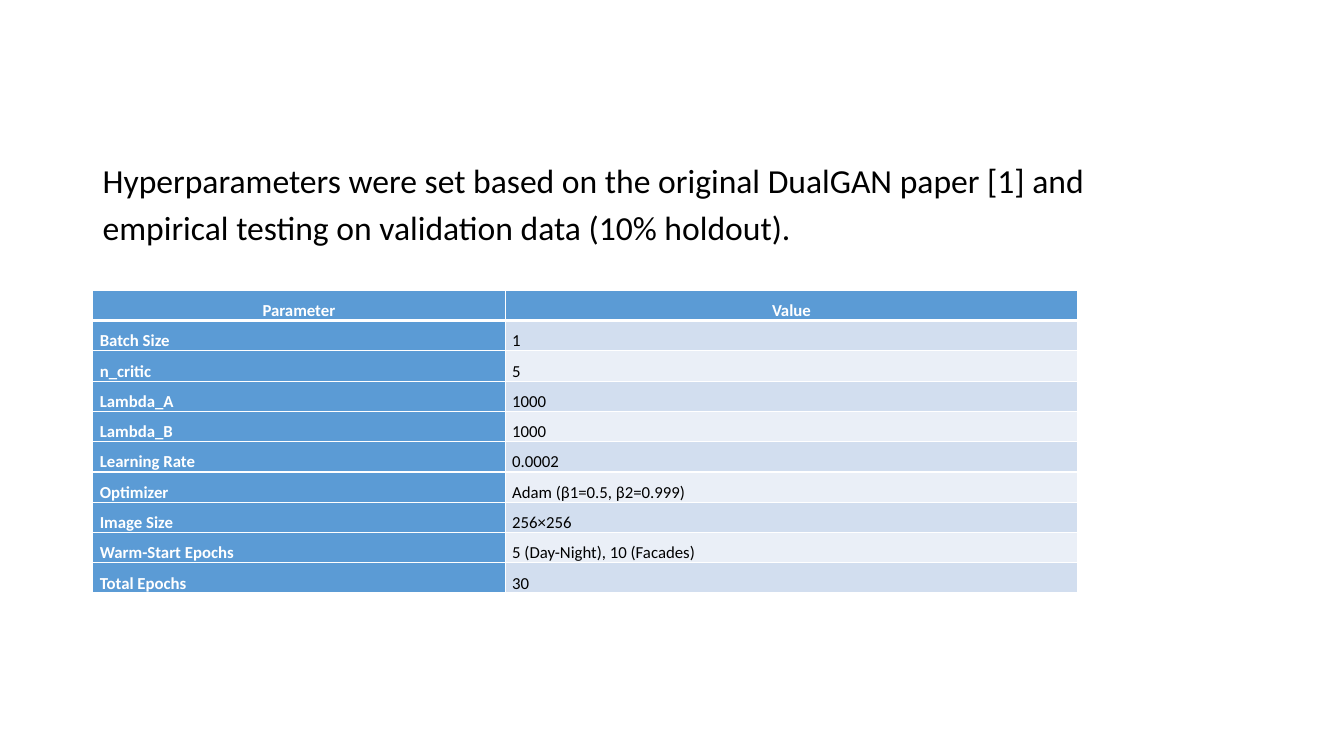
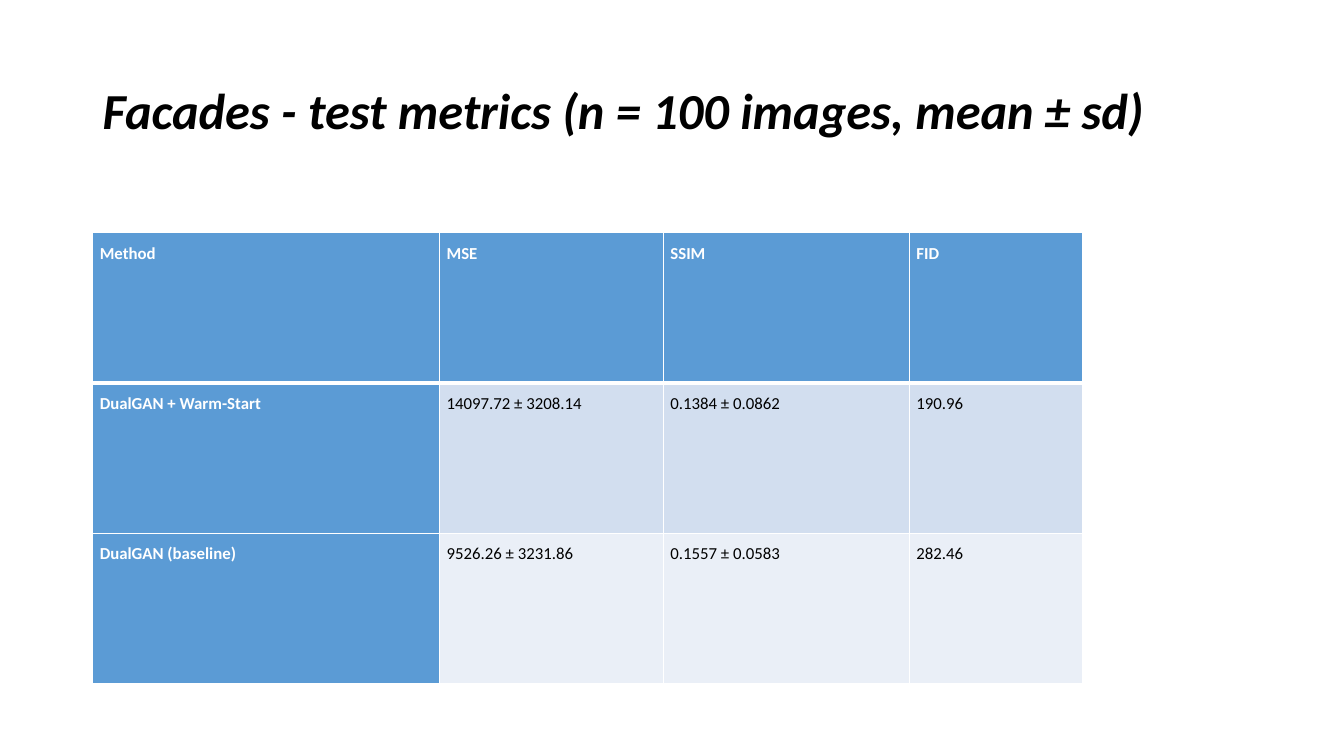
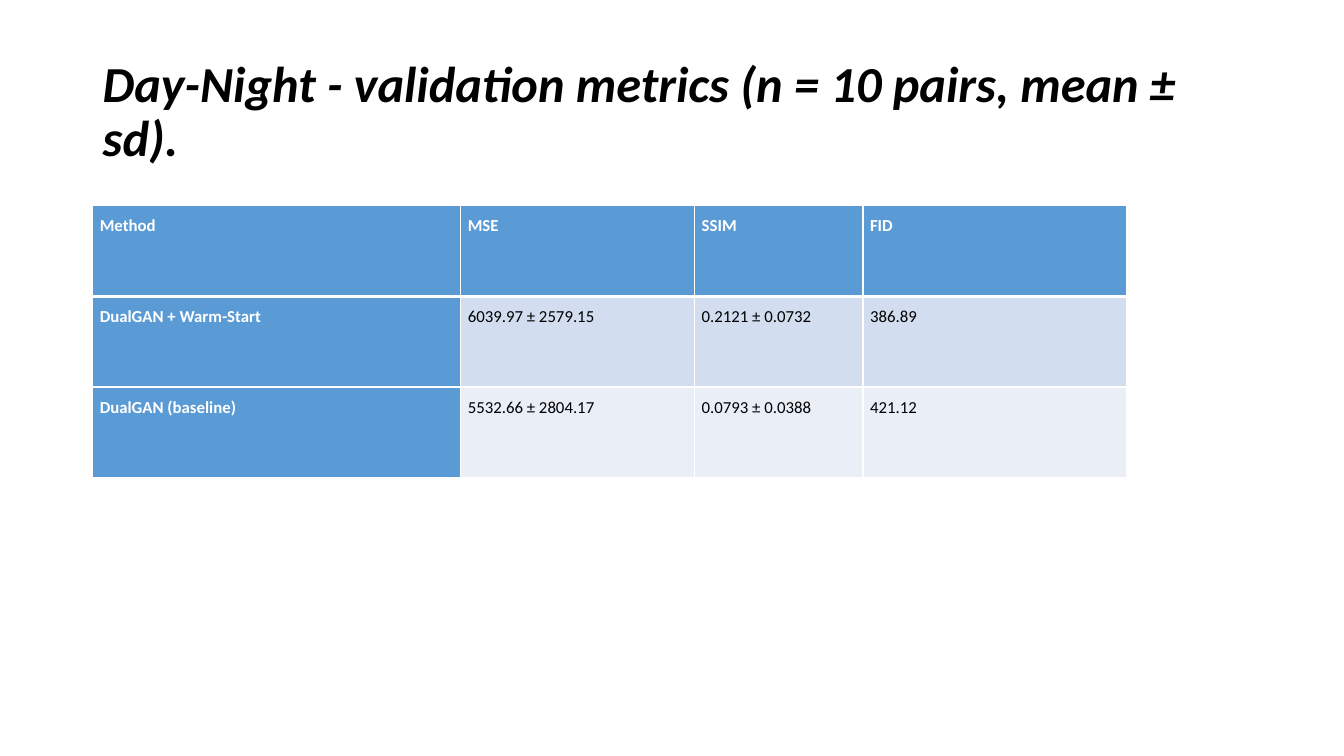
from dataclasses import dataclass
from typing import Any

from lxml import etree
from pptx import Presentation
from pptx.dml.color import RGBColor
from pptx.enum import text
from pptx.oxml import ns
from pptx.slide import Slide
from pptx.util import Inches, Pt

FONT = "Calibri"
BLACK = RGBColor(0x00, 0x00, 0x00)
WHITE = RGBColor(0xFF, 0xFF, 0xFF)
BLUE = RGBColor(0x5B, 0x9B, 0xD5)
BANDS = (RGBColor(0xD2, 0xDE, 0xEF), RGBColor(0xEA, 0xEF, 0xF7))
LEFT = Inches(0.92)
CELL_MARGINS = {
    "margin_left": Inches(0.07),
    "margin_right": Inches(0.07),
    "margin_top": 0,
    "margin_bottom": 0,
}


@dataclass(frozen=True)
class TextStyle:
    size: float
    line_spacing: float
    color: RGBColor = BLACK
    bold: bool = False
    italic: bool = False
    space_after: float = 0
    alignment: text.PP_ALIGN = text.PP_ALIGN.LEFT


@dataclass(frozen=True)
class Heading:
    wording: str
    top: float
    width: float
    height: float
    style: TextStyle
    anchor: text.MSO_ANCHOR
    auto_size: text.MSO_AUTO_SIZE


@dataclass(frozen=True)
class Grid:
    top: float
    column_widths: tuple[float, ...]
    row_height: float
    rows: tuple[tuple[str, ...], ...]
    header_alignment: text.PP_ALIGN = text.PP_ALIGN.LEFT


TITLE_STYLE = TextStyle(36, 0.9, bold=True, italic=True)
INTRO_STYLE = TextStyle(24, 1.15, space_after=8)
METRIC_COLUMNS = ("Method", "MSE", "SSIM", "FID")


def title(wording: str) -> Heading:
    return Heading(wording, 0.4, 11.5, 1.45, TITLE_STYLE,
                   text.MSO_ANCHOR.MIDDLE, text.MSO_AUTO_SIZE.NONE)


SLIDES = (
    (
        Heading(
            "Hyperparameters were set based on the original DualGAN paper [1] "
            "and empirical testing on validation data (10% holdout).",
            1.48, 10.64, 1.57, INTRO_STYLE,
            text.MSO_ANCHOR.TOP, text.MSO_AUTO_SIZE.SHAPE_TO_FIT_TEXT,
        ),
        Grid(2.88, (4.09, 5.68), 0.3, (
            ("Parameter", "Value"),
            ("Batch Size", "1"),
            ("n_critic", "5"),
            ("Lambda_A", "1000"),
            ("Lambda_B", "1000"),
            ("Learning Rate", "0.0002"),
            ("Optimizer", "Adam (β1=0.5, β2=0.999)"),
            ("Image Size", "256×256"),
            ("Warm-Start Epochs", "5 (Day-Night), 10 (Facades)"),
            ("Total Epochs", "30"),
        ), text.PP_ALIGN.CENTER),
    ),
    (
        title("Facades - test metrics (n = 100 images, mean ± sd)"),
        Grid(2.31, (3.44, 2.22, 2.44, 1.72), 1.49, (
            METRIC_COLUMNS,
            ("DualGAN + Warm-Start", "14097.72 ± 3208.14", "0.1384 ± 0.0862", "190.96"),
            ("DualGAN (baseline)", "9526.26 ± 3231.86", "0.1557 ± 0.0583", "282.46"),
        )),
    ),
    (
        title("Day-Night - validation metrics (n = 10 pairs, mean ± sd)."),
        Grid(2.04, (3.65, 2.32, 1.67, 2.61), 0.9, (
            METRIC_COLUMNS,
            ("DualGAN + Warm-Start", "6039.97 ± 2579.15", "0.2121 ± 0.0732", "386.89"),
            ("DualGAN (baseline)", "5532.66 ± 2804.17", "0.0793 ± 0.0388", "421.12"),
        )),
    ),
)


def set_attributes(target: Any, values: dict[str, Any]) -> None:
    for attribute, value in values.items():
        setattr(target, attribute, value)


def write(frame: Any, wording: str, style: TextStyle) -> None:
    paragraph = frame.paragraphs[0]
    set_attributes(paragraph, {
        "alignment": style.alignment,
        "line_spacing": style.line_spacing,
        "space_after": Pt(style.space_after),
    })
    run = paragraph.add_run()
    run.text = wording
    set_attributes(run.font, {
        "name": FONT,
        "size": Pt(style.size),
        "bold": style.bold,
        "italic": style.italic,
    })
    run.font.color.rgb = style.color


def add_heading(slide: Slide, heading: Heading) -> None:
    box = slide.shapes.add_textbox(LEFT, Inches(heading.top),
                                   Inches(heading.width), Inches(heading.height))
    set_attributes(box.text_frame, {
        "word_wrap": True,
        "auto_size": heading.auto_size,
        "vertical_anchor": heading.anchor,
    })
    write(box.text_frame, heading.wording, heading.style)


def add_borders(cell: Any, row: int) -> None:
    """White rules, heavier between the header and the first body row."""
    properties = cell._tc.get_or_add_tcPr()
    for side in ("lnL", "lnR", "lnT", "lnB"):
        heavy = (side, row) in (("lnB", 0), ("lnT", 1))
        line = etree.SubElement(properties, ns.qn(f"a:{side}"), w=str(Pt(3 if heavy else 1)))
        fill = etree.SubElement(line, ns.qn("a:solidFill"))
        etree.SubElement(fill, ns.qn("a:srgbClr"), val=str(WHITE))


def add_grid(slide: Slide, grid: Grid) -> None:
    table = slide.shapes.add_table(
        len(grid.rows), len(grid.column_widths), LEFT, Inches(grid.top),
        Inches(sum(grid.column_widths)), Inches(grid.row_height * len(grid.rows)),
    ).table
    set_attributes(table, {"first_row": True, "first_col": True, "horz_banding": False})
    for column, width in zip(table.columns, grid.column_widths):
        column.width = Inches(width)
    for row, values in enumerate(grid.rows):
        table.rows[row].height = Inches(grid.row_height)
        for column, value in enumerate(values):
            cell = table.cell(row, column)
            is_label = row == 0 or column == 0
            add_borders(cell, row)
            cell.fill.solid()
            cell.fill.fore_color.rgb = BLUE if is_label else BANDS[(row - 1) % 2]
            set_attributes(cell, CELL_MARGINS)
            write(cell.text_frame, value, TextStyle(
                12, 1.5, WHITE if is_label else BLACK, bold=is_label, space_after=6,
                alignment=grid.header_alignment if row == 0 else text.PP_ALIGN.LEFT,
            ))


def main() -> None:
    deck = Presentation()
    deck.slide_width, deck.slide_height = Inches(13.33), Inches(7.5)
    blank = deck.slide_layouts[6]
    for heading, grid in SLIDES:
        slide = deck.slides.add_slide(blank)
        add_heading(slide, heading)
        add_grid(slide, grid)
    deck.save("out.pptx")


if __name__ == "__main__":
    main()
